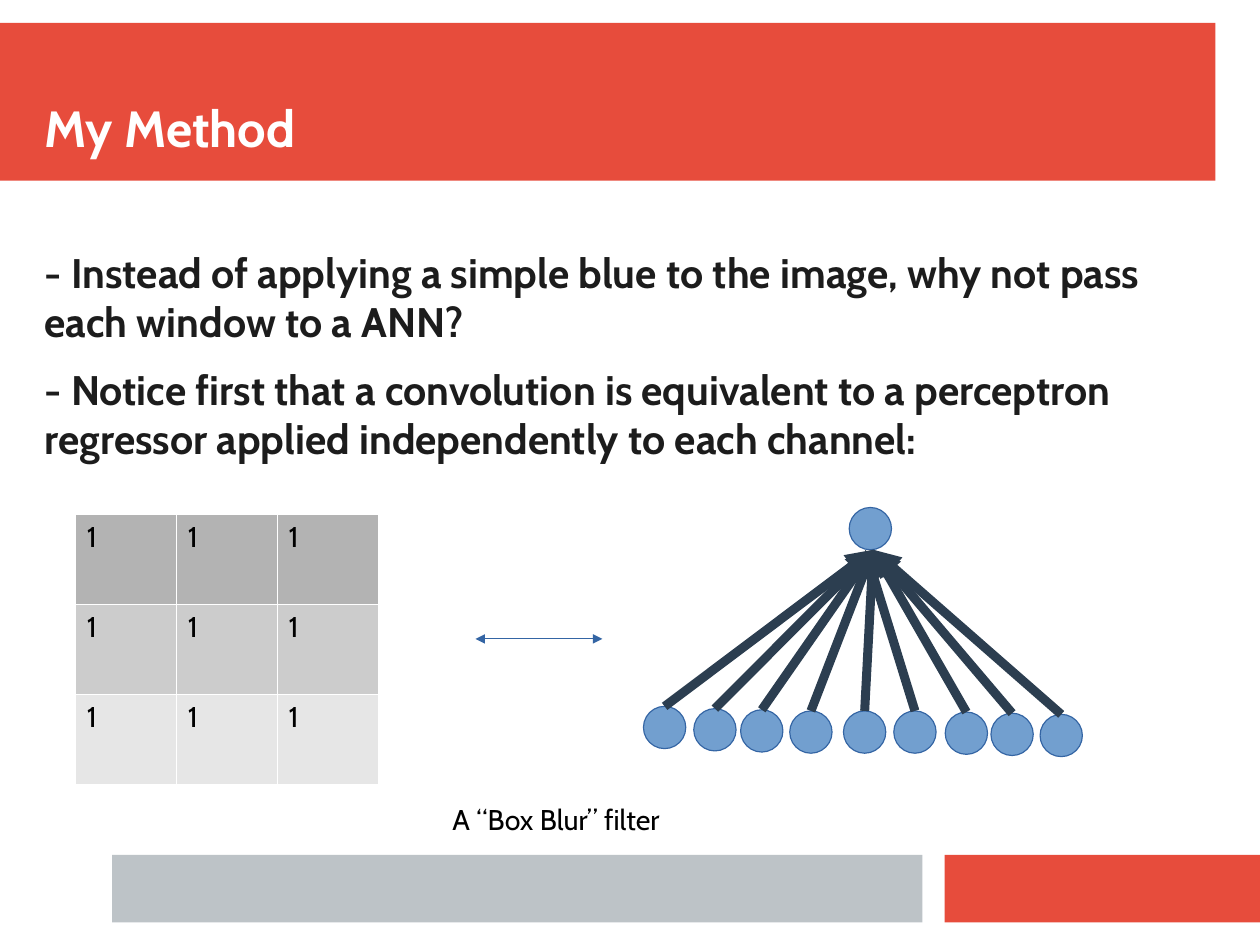
from lxml import etree
from pptx import Presentation
from pptx import util as u
from pptx.dml.color import RGBColor
from pptx.enum import shapes, text
from pptx.oxml.ns import qn

COLORS = {
    "red": "E74C3C",
    "gray": "BDC3C7",
    "white": "FFFFFF",
    "ink": "1C1C1C",
    "black": "000000",
    "node": "729FCF",
    "outline": "3465A4",
    "edge": "2C3E50",
}
CM_PER_INCH = 2.54
SLIDE_WIDTH = 28 / CM_PER_INCH
SLIDE_HEIGHT = 21 / CM_PER_INCH
KERNEL_ROWS = ["B3B3B3", "CCCCCC", "E6E6E6"]
FONT = "Cabin"
NODE_SIZE = 0.37
INPUT_NODES = [(0, 1.74), (0.44, 1.76), (0.85, 1.77), (1.28, 1.78), (1.75, 1.78),
               (2.19, 1.78), (2.64, 1.79), (3.04, 1.8), (3.47, 1.81)]


def rgb(name):
    return RGBColor.from_string(COLORS.get(name, name))


def inches(*lengths):
    return [u.Inches(length) for length in lengths]


def add_run(paragraph, words, size, color, bold=False):
    run = paragraph.add_run()
    run.text = words
    run.font.name = FONT
    run.font.size = u.Pt(size)
    run.font.bold = bold
    run.font.color.rgb = rgb(color)


def add_text(slide, box, lines, size, color, bold=False, inset=(0, 0),
             anchor=text.MSO_ANCHOR.TOP, space_after=0, wrap=True):
    frame = slide.shapes.add_textbox(*inches(*box)).text_frame
    frame.word_wrap = wrap
    frame.vertical_anchor = anchor
    frame.margin_left = frame.margin_right = u.Inches(inset[0])
    frame.margin_top = frame.margin_bottom = u.Inches(inset[1])
    for index, line in enumerate(lines):
        paragraph = frame.add_paragraph() if index else frame.paragraphs[0]
        paragraph.space_after = u.Pt(space_after)
        add_run(paragraph, line, size, color, bold)


def add_filled(slide, kind, box, fill, outline=None):
    shape = slide.shapes.add_shape(kind, *inches(*box))
    shape.shadow.inherit = False
    shape.fill.solid()
    shape.fill.fore_color.rgb = rgb(fill)
    if outline:
        shape.line.color.rgb = rgb(outline)
        shape.line.width = u.Pt(0.75)
    else:
        shape.line.fill.background()
    return shape


def add_arrow(slide, start, end, color, width, ends=("tailEnd",)):
    arrow = slide.shapes.add_connector(
        shapes.MSO_CONNECTOR.STRAIGHT, *inches(*start, *end))
    arrow.line.color.rgb = rgb(color)
    arrow.line.width = u.Pt(width)
    properties = arrow.element.spPr
    line = properties.find(qn("a:ln"))
    for name in ends:
        etree.SubElement(line, qn(f"a:{name}"), type="triangle")
    etree.SubElement(properties, qn("a:effectLst"))
    return arrow


def draw_bands(slide, width):
    rectangle = shapes.MSO_SHAPE.RECTANGLE
    add_filled(slide, rectangle, (0, 0.2, width - 0.39, 1.38), "red")
    add_filled(slide, rectangle, (width - 2.76, 7.48, 2.76, 0.59), "red")
    add_filled(slide, rectangle, (0.98, 7.48, 7.09, 0.59), "gray")


def draw_kernel(slide, box):
    count = len(KERNEL_ROWS)
    table = slide.shapes.add_table(count, count, *inches(*box)).table
    table.first_row = table.horz_banding = False
    for row, fill in zip(table.rows, KERNEL_ROWS):
        for cell in row.cells:
            cell.fill.solid()
            cell.fill.fore_color.rgb = rgb(fill)
            add_run(cell.text_frame.paragraphs[0], "1", 18, "black")
            properties = cell._tc.get_or_add_tcPr()
            for index, side in enumerate(("lnL", "lnR", "lnT", "lnB")):
                border = etree.Element(qn(f"a:{side}"), w=str(u.Pt(0.06)))
                solid = etree.SubElement(border, qn("a:solidFill"))
                etree.SubElement(solid, qn("a:srgbClr"), val=COLORS["white"])
                properties.insert(index, border)


def draw_perceptron(slide, box):
    left, top = box[:2]

    def add_node(x, y):
        return add_filled(slide, shapes.MSO_SHAPE.OVAL,
                          (left + x, top + y, NODE_SIZE, NODE_SIZE), "node", "outline")

    add_node(1.8, 0)
    inputs = [add_node(x, y) for x, y in INPUT_NODES]
    for index, ((x, y), node) in enumerate(zip(INPUT_NODES, inputs)):
        target = 1.94 if index == 5 else 2.01
        arrow = add_arrow(slide, (left + x + NODE_SIZE / 2, top + y),
                          (left + target, top + NODE_SIZE), "edge", 5.67)
        arrow.begin_connect(node, 0)


def main():
    presentation = Presentation()
    presentation.slide_width = u.Inches(SLIDE_WIDTH)
    presentation.slide_height = u.Inches(SLIDE_HEIGHT)
    slide = presentation.slides.add_slide(presentation.slide_layouts[6])
    draw_bands(slide, SLIDE_WIDTH)
    add_text(slide, (0.39, 0.4, 10.24, 0.98), ["My Method"], 32, "white",
             bold=True, anchor=text.MSO_ANCHOR.BOTTOM)
    add_text(slide, (0.39, 2.16, 10.04, 2.02), [
        "- Instead of applying a simple blue to the image, why not pass each window to a ANN?",
        "- Notice first that a convolution is equivalent to a perceptron regressor "
        "applied independently to each channel:",
    ], 26, "ink", bold=True, space_after=11.4)
    draw_kernel(slide, (0.66, 4.5, 2.65, 2.36))
    add_arrow(slide, (4.16, 5.59), (5.27, 5.59), "outline", 0.75, ("headEnd", "tailEnd"))
    draw_perceptron(slide, (5.63, 4.44, 3.84, 2.18))
    add_text(slide, (3.86, 6.97, 2.02, 0.41), ["A “Box Blur” filter"], 18, "black",
             inset=(0.1, 0.05), wrap=False)
    presentation.save("out.pptx")


if __name__ == "__main__":
    main()
